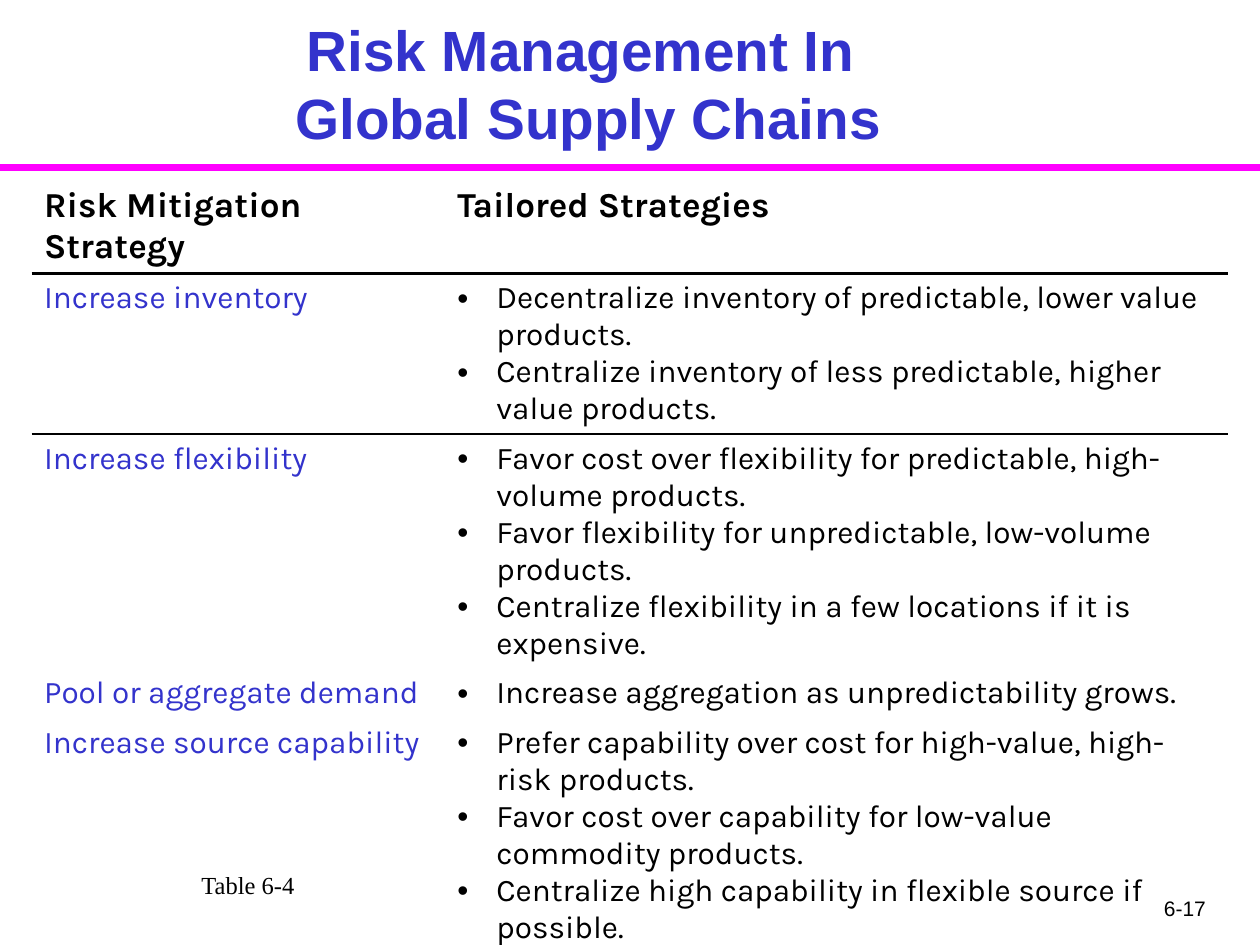
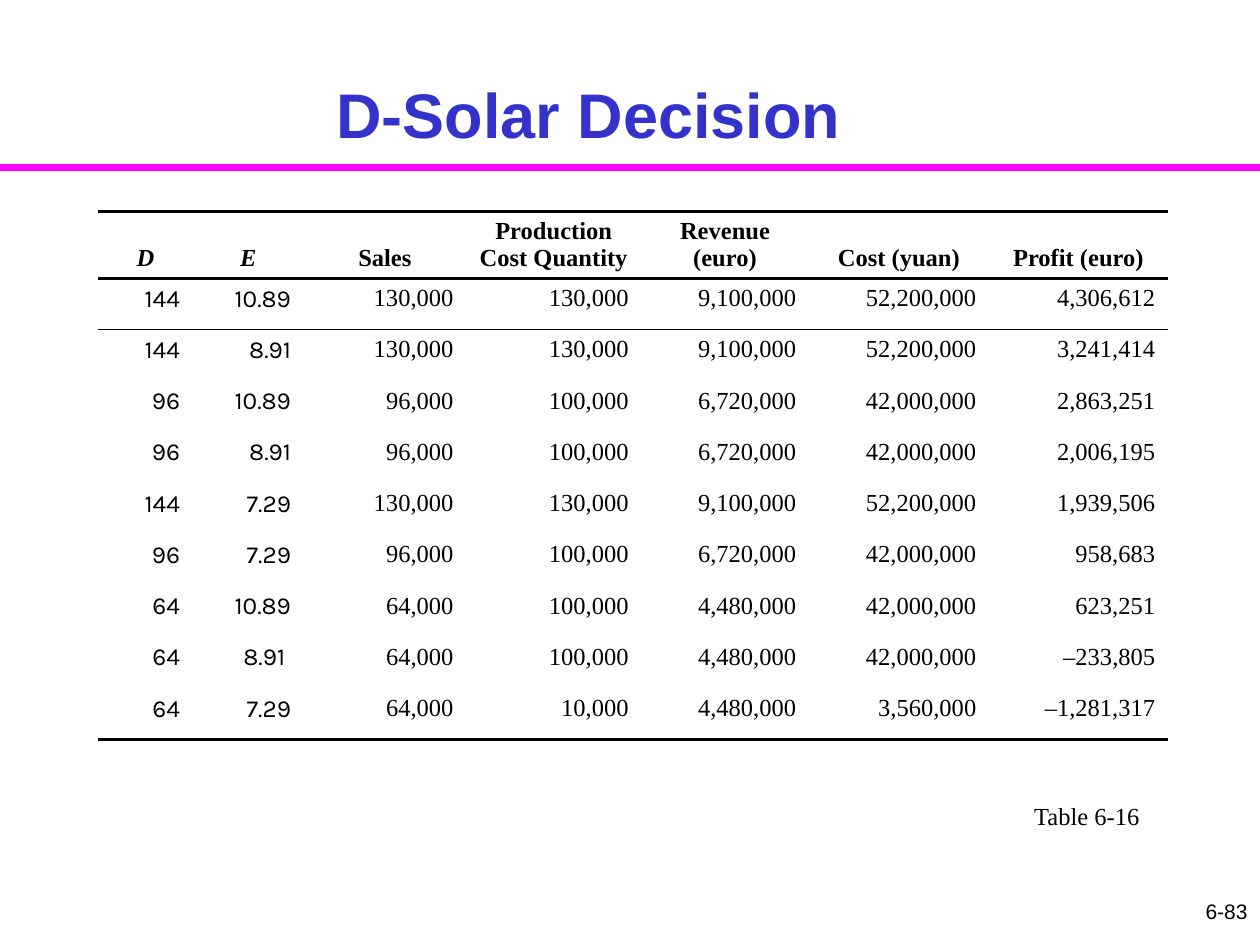
from lxml.etree import SubElement
from pptx import Presentation
from pptx.dml.color import RGBColor
from pptx.enum.shapes import MSO_CONNECTOR
from pptx.enum.text import MSO_ANCHOR, MSO_AUTO_SIZE, PP_ALIGN
from pptx.oxml import parse_xml
from pptx.oxml.ns import nsdecls, qn
from pptx.util import Inches, Pt

COLUMNS, ROWS = 100, 75
BLACK, BLUE, MAGENTA = "000000", "3333CC", "FF00FF"
SANS, SERIF, BODY = "Arial", "Times New Roman", "Karla"
PLAIN_TABLE = "{2D5ABB26-0587-4C30-8999-92F81FD0307C}"

MITIGATION = [
    ("Increase inventory", [
        "Decentralize inventory of predictable, lower value products.",
        "Centralize inventory of less predictable, higher value products."]),
    ("Increase flexibility", [
        "Favor cost over flexibility for predictable, high-volume products.",
        "Favor flexibility for unpredictable, low-volume products.",
        "Centralize flexibility in a few locations if it is expensive."]),
    ("Pool or aggregate demand", [
        "Increase aggregation as unpredictability grows."]),
    ("Increase source capability", [
        "Prefer capability over cost for high-value, high-risk products.",
        "Favor cost over capability for low-value commodity products.",
        "Centralize high capability in flexible source if possible."]),
]

DECISION_HEADINGS = ("D", "E", "Sales", "Production Cost Quantity",
                     "Revenue (euro)", "Cost (yuan)", "Profit (euro)")
DECISIONS = [
    ("144", "10.89", "130,000", "130,000", "9,100,000", "52,200,000", "4,306,612"),
    ("144", "8.91", "130,000", "130,000", "9,100,000", "52,200,000", "3,241,414"),
    ("96", "10.89", "96,000", "100,000", "6,720,000", "42,000,000", "2,863,251"),
    ("96", "8.91", "96,000", "100,000", "6,720,000", "42,000,000", "2,006,195"),
    ("144", "7.29", "130,000", "130,000", "9,100,000", "52,200,000", "1,939,506"),
    ("96", "7.29", "96,000", "100,000", "6,720,000", "42,000,000", "958,683"),
    ("64", "10.89", "64,000", "100,000", "4,480,000", "42,000,000", "623,251"),
    ("64", "8.91 ", "64,000", "100,000", "4,480,000", "42,000,000", "–233,805"),
    ("64", "7.29", "64,000", "10,000", "4,480,000", "3,560,000", "–1,281,317"),
]


def color(hex_string):
    return RGBColor.from_string(hex_string)


def add_bullet(paragraph, indent=Inches(0.31)):
    properties = paragraph._p.get_or_add_pPr()
    properties.set("marL", str(indent))
    properties.set("indent", str(-indent))
    SubElement(properties, qn("a:buFont"), typeface="Arial")
    SubElement(properties, qn("a:buChar"), char="•")


class Deck:
    """Holds the shared style and the slide being filled."""

    def __init__(self):
        self.presentation = Presentation()
        self.presentation.slide_width = Inches(10)
        self.presentation.slide_height = Inches(7.5)
        self.slide = None

    def x(self, columns):
        return round(self.presentation.slide_width * columns / COLUMNS)

    def y(self, rows):
        return round(self.presentation.slide_height * rows / ROWS)

    def start_slide(self, title, title_size):
        """Add a slide with its title and the band under it."""
        self.slide = self.presentation.slides.add_slide(
            self.presentation.slide_layouts[6])
        self.band()
        self.text(title, 4.2, 2.9, 85, 9.6, size=title_size, font=SANS, ink=BLUE,
                  bold=True, align=PP_ALIGN.CENTER, anchor=MSO_ANCHOR.BOTTOM)

    def band(self):
        band = self.slide.shapes.add_connector(
            MSO_CONNECTOR.STRAIGHT, 0, self.y(13.3), self.x(COLUMNS), self.y(13.3))
        band.line.color.rgb = color(MAGENTA)
        band.line.width = Pt(4)
        SubElement(band._element.spPr, qn("a:effectLst"))

    def style(self, frame, size, font, ink=BLACK, bold=False, italic=False,
              align=PP_ALIGN.LEFT):
        for paragraph in frame.paragraphs:
            paragraph.alignment = align
            for run in paragraph.runs:
                run.font.size = Pt(size)
                run.font.name = font
                run.font.bold = bold
                run.font.italic = italic
                run.font.color.rgb = color(ink)

    def text(self, words, left, top, width, height, anchor=MSO_ANCHOR.TOP,
             wrap=True, **look):
        box = self.slide.shapes.add_textbox(
            self.x(left), self.y(top), self.x(width), self.y(height))
        frame = box.text_frame
        frame.text = words
        frame.word_wrap = wrap
        frame.auto_size = MSO_AUTO_SIZE.NONE if wrap else MSO_AUTO_SIZE.SHAPE_TO_FIT_TEXT
        frame.vertical_anchor = anchor
        self.style(frame, **look)

    def caption(self, words, left, top, width):
        self.text(words, left, top, width, 3.4, wrap=False, size=14, font=SERIF)

    def page_number(self, number, left, top, width, height):
        self.text(number, left, top, width, height, size=12, font=SANS,
                  align=PP_ALIGN.RIGHT)

    def table(self, left, top, widths, heights):
        frame = self.slide.shapes.add_table(
            len(heights), len(widths), self.x(left), self.y(top),
            self.x(sum(widths)), self.y(sum(heights)))
        frame.element.find(".//" + qn("a:tableStyleId")).text = PLAIN_TABLE
        table = frame.table
        table.first_row = table.horz_banding = False
        for column, width in zip(table.columns, widths):
            column.width = self.x(width)
        for row, height in zip(table.rows, heights):
            row.height = self.y(height)
        for cell in table.iter_cells():
            cell.fill.background()
        return table

    def cell(self, cell, words, bullets=False, anchor=MSO_ANCHOR.TOP, **look):
        cell.text_frame.text = words
        cell.vertical_anchor = anchor
        if bullets:
            for paragraph in cell.text_frame.paragraphs:
                add_bullet(paragraph)
        self.style(cell.text_frame, **look)

    def rule(self, row, side, points):
        """Draw one edge of a row; side is T or B, and B comes first."""
        for cell in row.cells:
            cell._tc.get_or_add_tcPr().insert(0, parse_xml(
                f'<a:ln{side} {nsdecls("a")} w="{Pt(points)}"><a:solidFill>'
                f'<a:srgbClr val="{BLACK}"/></a:solidFill></a:ln{side}>'))


def build_risk_slide(deck):
    deck.start_slide("Risk Management In \vGlobal Supply Chains", 32.4)
    table = deck.table(2.5, 14.2, (32.8, 62.2), (4.7, 12.7, 18.5, 3.9, 18.5))
    for column, heading in enumerate(("Risk Mitigation Strategy", "Tailored Strategies")):
        deck.cell(table.cell(0, column), heading, size=20, font=BODY, bold=True)
    for row, (strategy, tactics) in enumerate(MITIGATION, start=1):
        deck.cell(table.cell(row, 0), strategy, size=18, font=BODY, ink=BLUE)
        deck.cell(table.cell(row, 1), "\n".join(tactics), bullets=True,
                  size=18, font=BODY)
    deck.rule(table.rows[0], "B", 2.25)
    deck.rule(table.rows[1], "B", 1.75)
    deck.caption("Table 6-4", 15, 68.6, 10.1)
    deck.page_number("6-17", 81.7, 70.6, 15, 2.7)


def build_decision_slide(deck):
    deck.start_slide("D-Solar Decision", 36)
    table = deck.table(7.8, 16.8, (7.5, 8.8, 12.9, 13.9, 13.3, 14.3, 14.2),
                       [4.07] * (len(DECISIONS) + 1))
    for column, heading in enumerate(DECISION_HEADINGS):
        deck.cell(table.cell(0, column), heading, anchor=MSO_ANCHOR.BOTTOM,
                  size=14, font=SERIF, bold=True, italic=column < 2,
                  align=PP_ALIGN.CENTER)
    for row, values in enumerate(DECISIONS, start=1):
        for column, value in enumerate(values):
            deck.cell(table.cell(row, column), value, size=14,
                      font=BODY if column < 2 else SERIF, align=PP_ALIGN.RIGHT)
    deck.rule(table.rows[0], "B", 1.5)
    deck.rule(table.rows[0], "T", 2.25)
    deck.rule(table.rows[1], "B", 1)
    deck.rule(table.rows[len(DECISIONS)], "B", 2.25)
    deck.caption("Table 6-16", 81.1, 63.1, 11.2)
    deck.page_number("6-83", 79.2, 70.8, 20.8, 4.2)


def main():
    deck = Deck()
    build_risk_slide(deck)
    build_decision_slide(deck)
    deck.presentation.save("out.pptx")


if __name__ == "__main__":
    main()
